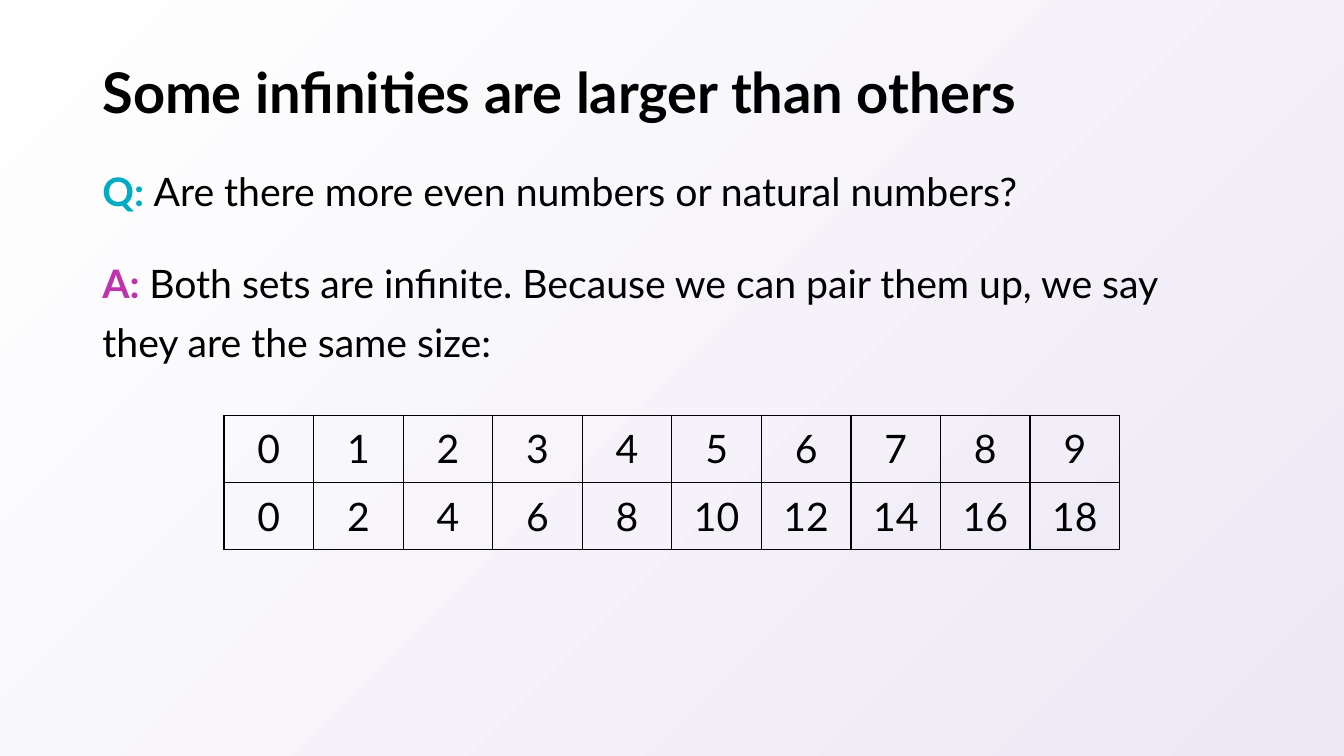
from lxml import etree
from pptx import Presentation
from pptx import util as u
from pptx.dml.color import RGBColor
from pptx.enum import text
from pptx.oxml import ns

COLORS = {
    "ink": "000000",
    "question": "00ABC3",
    "answer": "BC33AD",
    "background_start": "FFFFFF",
    "background_end": "EDE8F4",
}


class SlideBuilder:
    font_name = "Lato"
    title_size = 40
    body_size = 28
    border_width = 1

    def __init__(self, presentation):
        self.slide = presentation.slides.add_slide(presentation.slide_layouts[1])

    def color(self, name):
        return RGBColor.from_string(COLORS[name])

    def format_run(self, run, size, color="ink", bold=False):
        run.font.name = self.font_name
        run.font.size = u.Pt(size)
        run.font.bold = bold
        run.font.color.rgb = self.color(color)

    def place(self, shape, left, top, width, height):
        shape.left, shape.top = u.Pt(left), u.Pt(top)
        shape.width, shape.height = u.Pt(width), u.Pt(height)
        shape.text_frame.auto_size = text.MSO_AUTO_SIZE.NONE

    def background(self):
        fill = self.slide.background.fill
        fill.gradient()
        fill.gradient_angle = 315
        for stop, name in zip(fill.gradient_stops, ("background_start", "background_end")):
            stop.color.rgb = self.color(name)

    def title(self, wording, left, top, width, height):
        shape = self.slide.shapes.title
        self.place(shape, left, top, width, height)
        shape.text_frame.text = wording
        shape.text_frame.vertical_anchor = text.MSO_ANCHOR.MIDDLE
        paragraph = shape.text_frame.paragraphs[0]
        paragraph.alignment = text.PP_ALIGN.LEFT
        paragraph.line_spacing = 0.9
        self.format_run(paragraph.runs[0], self.title_size, bold=True)

    def body(self, entries, left, top, width, height):
        shape = self.slide.placeholders[1]
        self.place(shape, left, top, width, height)
        frame = shape.text_frame
        for index, (label, wording, label_color) in enumerate(entries):
            paragraph = frame.add_paragraph() if index else frame.paragraphs[0]
            paragraph.line_spacing = 1.25
            paragraph.space_before = u.Pt(24)
            properties = paragraph._p.get_or_add_pPr()
            properties.set("marL", "0")
            properties.set("indent", "0")
            etree.SubElement(properties, ns.qn("a:buNone"))
            for part, color, bold in ((label, label_color, True), (wording, "ink", False)):
                run = paragraph.add_run()
                run.text = part
                self.format_run(run, self.body_size, color, bold)

    def cell(self, cell, value):
        cell.text_frame.text = str(value)
        cell.margin_left = cell.margin_right = u.Pt(14.4)
        cell.margin_top = cell.margin_bottom = u.Pt(7.2)
        paragraph = cell.text_frame.paragraphs[0]
        paragraph.alignment = text.PP_ALIGN.CENTER
        self.format_run(paragraph.runs[0], self.body_size)
        properties = cell._tc.get_or_add_tcPr()
        for side in ("lnL", "lnR", "lnT", "lnB"):
            line = etree.SubElement(
                properties, ns.qn(f"a:{side}"), w=str(u.Pt(self.border_width))
            )
            fill = etree.SubElement(line, ns.qn("a:solidFill"))
            etree.SubElement(fill, ns.qn("a:srgbClr"), val=COLORS["ink"])
        cell.fill.background()

    def table(self, rows, left, top, column_width, row_height):
        row_count, column_count = len(rows), len(rows[0])
        table = self.slide.shapes.add_table(
            row_count, column_count, u.Pt(left), u.Pt(top),
            u.Pt(column_width * column_count), u.Pt(row_height * row_count),
        ).table
        table.first_row = table.horz_banding = False
        for row_index, row in enumerate(rows):
            for column_index, value in enumerate(row):
                self.cell(table.cell(row_index, column_index), value)


def main():
    presentation = Presentation()
    presentation.slide_width = u.Pt(960)
    presentation.slide_height = u.Pt(540)
    builder = SlideBuilder(presentation)
    builder.background()
    builder.title("Some infinities are larger than others", 66, 28.75, 828, 78.5)
    builder.body(
        [
            ("Q: ", "Are there more even numbers or natural numbers?", "question"),
            (
                "A: ",
                "Both sets are infinite. Because we can pair them up, "
                "we say they are the same size:",
                "answer",
            ),
        ],
        66, 107.25, 828, 378.75,
    )
    naturals = range(10)
    evens = [2 * number for number in naturals]
    builder.table([naturals, evens], 160, 296.5, 64, 48)
    presentation.save("out.pptx")


if __name__ == "__main__":
    main()
